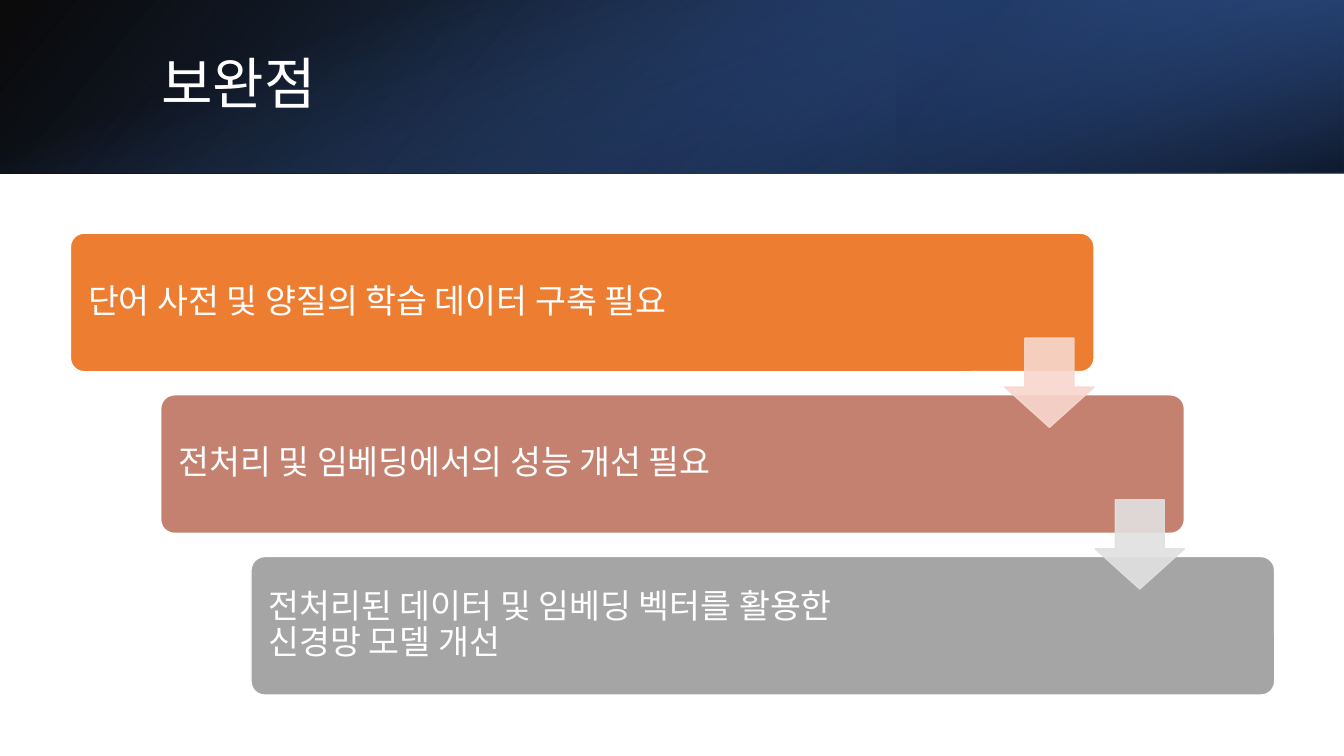
import pptx
import pptx.dml.color
import pptx.enum.shapes
import pptx.enum.text
import pptx.oxml
import pptx.oxml.ns
import pptx.util

PX = 9525  # EMU per px, 96 px to the inch
FONT = "Noto Sans CJK KR"
SHAPES = pptx.enum.shapes.MSO_SHAPE
COLOURS = {
    "white": "FFFFFF", "black": "000000", "blue": "4472C4",
    "deep blue": "2F5597", "navy": "203864",
    "orange": "ED7D31", "clay": "C48170", "grey": "A5A5A5",
    "pale clay": "F8D7CE", "pale grey": "E1E1E1",
}
STEPS = [
    ("단어 사전 및 양질의 학습 데이터 구축 필요", "orange"),
    ("전처리 및 임베딩에서의 성능 개선 필요", "clay"),
    ("전처리된 데이터 및 임베딩 벡터를 활용한\v신경망 모델 개선", "grey"),
]
ARROW_COLOURS = ["pale clay", "pale grey"]


def rgb(colour):
    return pptx.dml.color.RGBColor.from_string(COLOURS[colour])


def add_preset(page, preset, box):
    shape = page.shapes.add_shape(preset, *(length * PX for length in box))
    shape.shadow.inherit = False
    return shape


def paint(shape, colour, line_colour, opacity=100):
    shape.fill.solid()
    shape.fill.fore_color.rgb = rgb(colour)
    shape.line.color.rgb = rgb(line_colour)
    shape.line.width = pptx.util.Pt(1)
    if opacity < 100:
        for node in shape.element.spPr.iter(pptx.oxml.ns.qn("a:srgbClr")):
            alpha = node.makeelement(pptx.oxml.ns.qn("a:alpha"), {"val": str(opacity * 1000)})
            node.append(alpha)


def paint_gradient(shape, stops, angle):
    """Fill with stops of (position %, colour, opacity %) along an angle in degrees."""
    stop_xml = "".join(
        f'<a:gs pos="{position * 1000}"><a:srgbClr val="{COLOURS[colour]}">'
        f'<a:alpha val="{opacity * 1000}"/></a:srgbClr></a:gs>'
        for position, colour, opacity in stops
    )
    gradient = pptx.oxml.parse_xml(
        f'<a:gradFill {pptx.oxml.ns.nsdecls("a")} rotWithShape="1"><a:gsLst>{stop_xml}</a:gsLst>'
        f'<a:lin ang="{angle * 60000}" scaled="0"/></a:gradFill>'
    )
    shape.fill.background()
    blank = shape.element.spPr.find(pptx.oxml.ns.qn("a:noFill"))
    shape.element.spPr.replace(blank, gradient)
    shape.line.fill.background()


def write(frame, text, size):
    frame.text = text
    frame.word_wrap = True
    frame.vertical_anchor = pptx.enum.text.MSO_ANCHOR.MIDDLE
    para = frame.paragraphs[0]
    para.alignment = pptx.enum.text.PP_ALIGN.LEFT
    para.line_spacing = 0.9
    for span in para.runs:
        span.font.size = pptx.util.Pt(size)
        span.font.name = FONT
        span.font.color.rgb = rgb("white")
        properties = span.font._element
        properties.append(
            properties.makeelement(pptx.oxml.ns.qn("a:ea"), {"typeface": FONT})
        )
    return para


def add_header(page, box):
    left, top, width, height = box
    third = width // 3
    # The turned layer swaps its sides about the centre of the header.
    turned_box = (left + (width - height) // 2, top + (height - width) // 2, height, width)
    layers = [
        (box, 0, True, 140, [(0, "black", 96), (100, "deep blue", 100)]),
        ((left + width - third, top, third, height), 180, True, 320,
         [(19, "navy", 68), (100, "blue", 79)]),
        (turned_box, 90, False, 340, [(23, "blue", 0), (99, "black", 74)]),
    ]
    for layer_box, rotation, flipped, angle, stops in layers:
        layer = add_preset(page, SHAPES.RECTANGLE, layer_box)
        layer.rotation = rotation
        if flipped:
            layer.element.spPr.find(pptx.oxml.ns.qn("a:xfrm")).set("flipH", "1")
        paint_gradient(layer, stops, angle)

    title = page.shapes.title
    title.left, title.top = (left + 144) * PX, (top + 36) * PX
    title.width, title.height = 1054 * PX, 92 * PX
    write(title.text_frame, "보완점", 40)
    title.element.getparent().append(title.element)  # bring in front of the layers


def add_staircase(page, box):
    """Place cards in falling steps, with an arrow from each card to the next."""
    left, top, width, height = box
    card_height, arrow_size, arrow_drop = 132, 85, 100
    shift = 86
    gaps = len(STEPS) - 1
    card_width = width - gaps * shift
    fall = (height - card_height) // gaps
    for index, (text, colour) in enumerate(STEPS):
        card = add_preset(page, SHAPES.ROUNDED_RECTANGLE,
                          (left + index * shift, top + index * fall, card_width, card_height))
        card.adjustments[0] = 0.1
        paint(card, colour, "white")
        frame = card.text_frame
        frame.margin_left = frame.margin_right = 13 * PX
        frame.margin_top = frame.margin_bottom = 13 * PX
        write(frame, text, 24).space_after = pptx.util.Pt(8)
    for index, colour in enumerate(ARROW_COLOURS):
        arrow = add_preset(page, SHAPES.DOWN_ARROW,
                           (left + index * shift + card_width - arrow_size,
                            top + index * fall + arrow_drop, arrow_size, arrow_size))
        arrow.adjustments[0] = 0.55
        arrow.adjustments[1] = 0.45
        paint(arrow, colour, colour, opacity=90)


def main():
    deck = pptx.Presentation()
    deck.slide_width, deck.slide_height = 1280 * PX, 720 * PX
    page = deck.slides.add_slide(deck.slide_layouts[5])
    add_header(page, (0, 0, 1280, 165))
    add_staircase(page, (67, 222, 1147, 440))
    deck.save("out.pptx")


if __name__ == "__main__":
    main()
